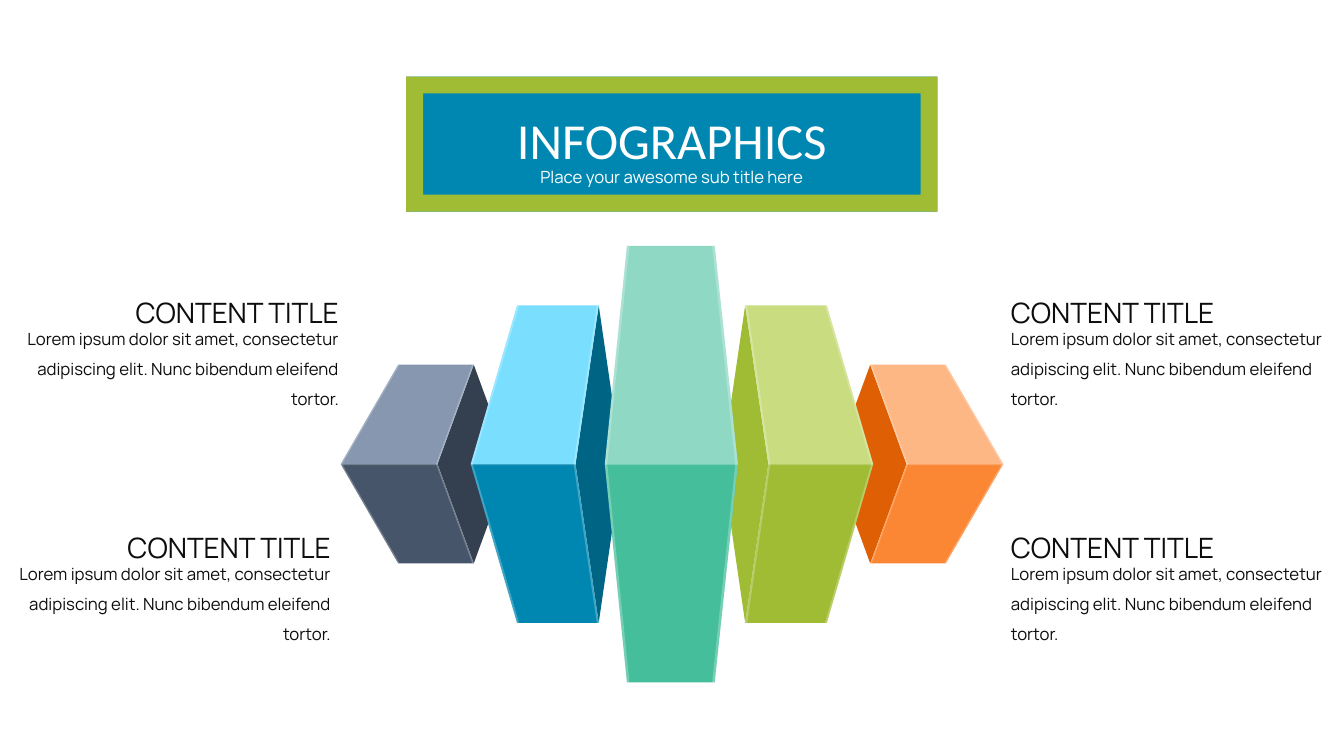
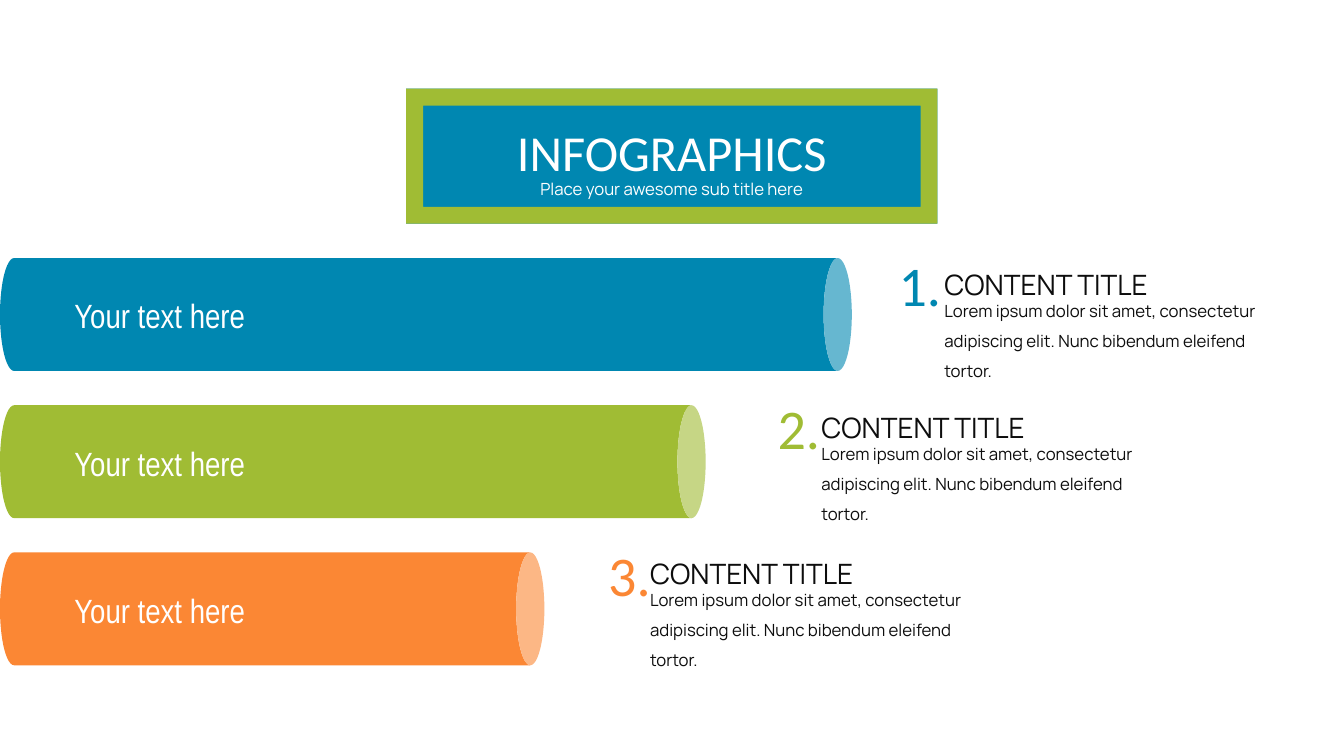
from dataclasses import dataclass

from lxml import etree
from pptx import Presentation
from pptx.dml.color import RGBColor
from pptx.enum.shapes import MSO_SHAPE
from pptx.enum.text import MSO_AUTO_SIZE, PP_ALIGN
from pptx.oxml.ns import qn
from pptx.util import Inches, Pt

RECTANGLE, FRAME, CAN = MSO_SHAPE.RECTANGLE, MSO_SHAPE.FRAME, MSO_SHAPE.CAN
LEFT, CENTER, RIGHT = PP_ALIGN.LEFT, PP_ALIGN.CENTER, PP_ALIGN.RIGHT
GROW = MSO_AUTO_SIZE.SHAPE_TO_FIT_TEXT

CELL = Inches(0.1)
COLUMNS, ROWS = 133.33, 75
MIDDLE_ROW = 46.04
BLANK_LAYOUT = 6

HEADING = "CONTENT TITLE"
BODY = ("Lorem ipsum dolor sit amet, consectetur adipiscing elit. "
        "Nunc bibendum eleifend tortor.")


@dataclass(frozen=True)
class TypeStyle:
    font: str
    size: int
    color: str
    spacing: float = 1.0


@dataclass(frozen=True)
class Theme:
    white: str = "FFFFFF"
    blue: str = "0087B1"
    green: str = "A0BC34"
    orange: str = "FB8734"
    slate_tones: tuple = ("8697AF", "46556A", "34404F")
    blue_tones: tuple = ("7ADFFF", "0087B1", "006585")
    orange_tones: tuple = ("FDB785", "FB8734", "DF6004")
    green_tones: tuple = ("C9DC80", "A0BC34", "A0BC34")
    mint_tones: tuple = ("8FD8C3", "45BE9B")
    edge_opacity: int = 25
    title: TypeStyle = TypeStyle("Calibri", 36, "FFFFFF", 1.5)
    subtitle: TypeStyle = TypeStyle("Manrope", 12, "FFFFFF", 1.5)
    heading: TypeStyle = TypeStyle("Manrope", 20, "0D0D0D", 1.5)
    body: TypeStyle = TypeStyle("Manrope", 12, "0D0D0D", 1.5)
    number: TypeStyle = TypeStyle("Calibri", 40, "0D0D0D")
    label: TypeStyle = TypeStyle("Arial Narrow", 24, "FFFFFF")


@dataclass(frozen=True)
class Block:
    outer: float
    top_outer: float
    top_inner: float
    ridge: float
    half_height: float
    edge: float


SMALL_BLOCK = Block(33.8, 39.5, 47.0, 43.4, 9.85, 0.15)
LARGE_BLOCK = Block(46.7, 51.3, 59.4, 57.1, 15.75, 0.2)
CENTER_BLOCK = Block(60.0, 62.2, 70.9, 73.2, 21.65, 0.25)


def cells(count):
    return round(count * CELL)


class Composer:
    def __init__(self, theme):
        self.theme = theme
        self.deck = Presentation()
        self.deck.slide_width = cells(COLUMNS)
        self.deck.slide_height = cells(ROWS)
        self.page = None

    def new_page(self):
        layout = self.deck.slide_layouts[BLANK_LAYOUT]
        self.page = self.deck.slides.add_slide(layout)

    def paint(self, shape, color, opacity=100):
        shape.shadow.inherit = False
        shape.fill.solid()
        shape.fill.fore_color.rgb = RGBColor.from_string(color)
        shape.line.fill.background()
        if opacity < 100:
            tint = shape.fill._xPr.find(qn("a:solidFill"))[0]
            etree.SubElement(tint, qn("a:alpha"), val=str(opacity * 1000))

    def shape(self, kind, left, top, width, height, color):
        shape = self.page.shapes.add_shape(
            kind, cells(left), cells(top), cells(width), cells(height))
        self.paint(shape, color)
        return shape

    def polygon(self, points, color, mirrored=False, opacity=100):
        corners = [(cells(COLUMNS - x if mirrored else x), cells(y))
                   for x, y in points]
        builder = self.page.shapes.build_freeform(*corners[0], scale=1.0)
        builder.add_line_segments(corners[1:], close=True)
        self.paint(builder.convert_to_shape(), color, opacity)

    def text(self, left, top, width, height, words, style,
             align=LEFT, color=None):
        box = self.page.shapes.add_textbox(
            cells(left), cells(top), cells(width), cells(height))
        frame = box.text_frame
        frame.word_wrap = True
        frame.auto_size = GROW
        frame.text = words
        para = frame.paragraphs[0]
        para.alignment = align
        para.line_spacing = style.spacing
        font = para.runs[0].font
        font.name = style.font
        font.size = Pt(style.size)
        font.color.rgb = RGBColor.from_string(color or style.color)

    def title(self, top):
        left, width, height = 40.3, 52.7, 13.4
        self.shape(RECTANGLE, left, top, width, height, self.theme.blue)
        self.shape(FRAME, left, top, width, height, self.theme.green)
        self.text(left, top + 7.45, width, 4,
                  "Place your awesome sub title here", self.theme.subtitle, CENTER)
        self.text(left, top - 0.3, width, 10.1,
                  "INFOGRAPHICS", self.theme.title, CENTER)

    def content(self, left, top, align=LEFT):
        self.text(left, top + 3.9, 34.1, 10.1, BODY, self.theme.body, align)
        self.text(left, top, 34.1, 6.1, HEADING, self.theme.heading, align)

    def highlight(self, points, mirrored):
        self.polygon(points, self.theme.white, mirrored, self.theme.edge_opacity)

    def edge(self, block, bend, end, shift, mirrored):
        top = MIDDLE_ROW - block.half_height
        bottom = MIDDLE_ROW + block.half_height
        self.highlight([(bend, MIDDLE_ROW), (end, top), (end + shift, top),
                        (bend + shift, MIDDLE_ROW), (end + shift, bottom),
                        (end, bottom)], mirrored)

    def faces(self, block, tones, mirrored=False):
        for direction, tone in zip((-1, 1), tones):
            row = MIDDLE_ROW + direction * block.half_height
            self.polygon([(block.ridge, MIDDLE_ROW), (block.top_inner, row),
                          (block.top_outer, row), (block.outer, MIDDLE_ROW)],
                         tone, mirrored)
        seam = MIDDLE_ROW + 0.1
        self.highlight([(block.outer, MIDDLE_ROW), (block.ridge, MIDDLE_ROW),
                        (block.ridge, seam), (block.outer, seam)], mirrored)
        self.edge(block, block.outer, block.top_outer, block.edge, mirrored)

    def side_block(self, block, tones, mirrored=False):
        back = 2 * block.top_inner - block.ridge
        self.polygon([(block.ridge, MIDDLE_ROW),
                      (block.top_inner, MIDDLE_ROW - block.half_height),
                      (back, MIDDLE_ROW),
                      (block.top_inner, MIDDLE_ROW + block.half_height)],
                     tones[2], mirrored)
        self.faces(block, tones, mirrored)
        self.edge(block, block.ridge, block.top_inner, -block.edge, mirrored)

    def center_block(self, block, tones):
        self.faces(block, tones)
        self.edge(block, block.ridge, block.top_inner, -block.edge, False)

    def cylinder(self, center_row, length, color):
        thickness = 11.2
        can = self.shape(CAN, (length - thickness) / 2, center_row - length / 2,
                         thickness, length, color)
        can.rotation = 90
        self.text(6.4, center_row - 2.4, 31.7, 5,
                  "Your text here", self.theme.label)


def build_blocks_page(composer):
    theme = composer.theme
    composer.new_page()
    composer.side_block(SMALL_BLOCK, theme.slate_tones)
    composer.side_block(LARGE_BLOCK, theme.blue_tones)
    composer.side_block(SMALL_BLOCK, theme.orange_tones, mirrored=True)
    composer.side_block(LARGE_BLOCK, theme.green_tones, mirrored=True)
    composer.center_block(CENTER_BLOCK, theme.mint_tones)
    for top, left in ((27.2, 0.5), (50.5, -0.3)):
        composer.content(left, top, RIGHT)
        composer.content(99.3, top)
    composer.title(7.6)


def build_cylinders_page(composer):
    theme = composer.theme
    composer.new_page()
    rows = (
        (84.5, theme.blue, 87.8, 6.9, 92.7, 24.4),
        (70.0, theme.green, 75.7, 7.1, 80.5, 38.6),
        (54.0, theme.orange, 58.3, 8.3, 63.5, 53.1),
    )
    for index, row in enumerate(rows):
        length, color, number_left, number_width, content_left, top = row
        composer.cylinder(31.2 + 14.6 * index, length, color)
        composer.text(number_left, top, number_width, 7.7, f"{index + 1}.",
                      theme.number, CENTER, color)
        composer.content(content_left, top)
    composer.title(8.8)


def main():
    composer = Composer(Theme())
    build_blocks_page(composer)
    build_cylinders_page(composer)
    composer.deck.save("out.pptx")


if __name__ == "__main__":
    main()
